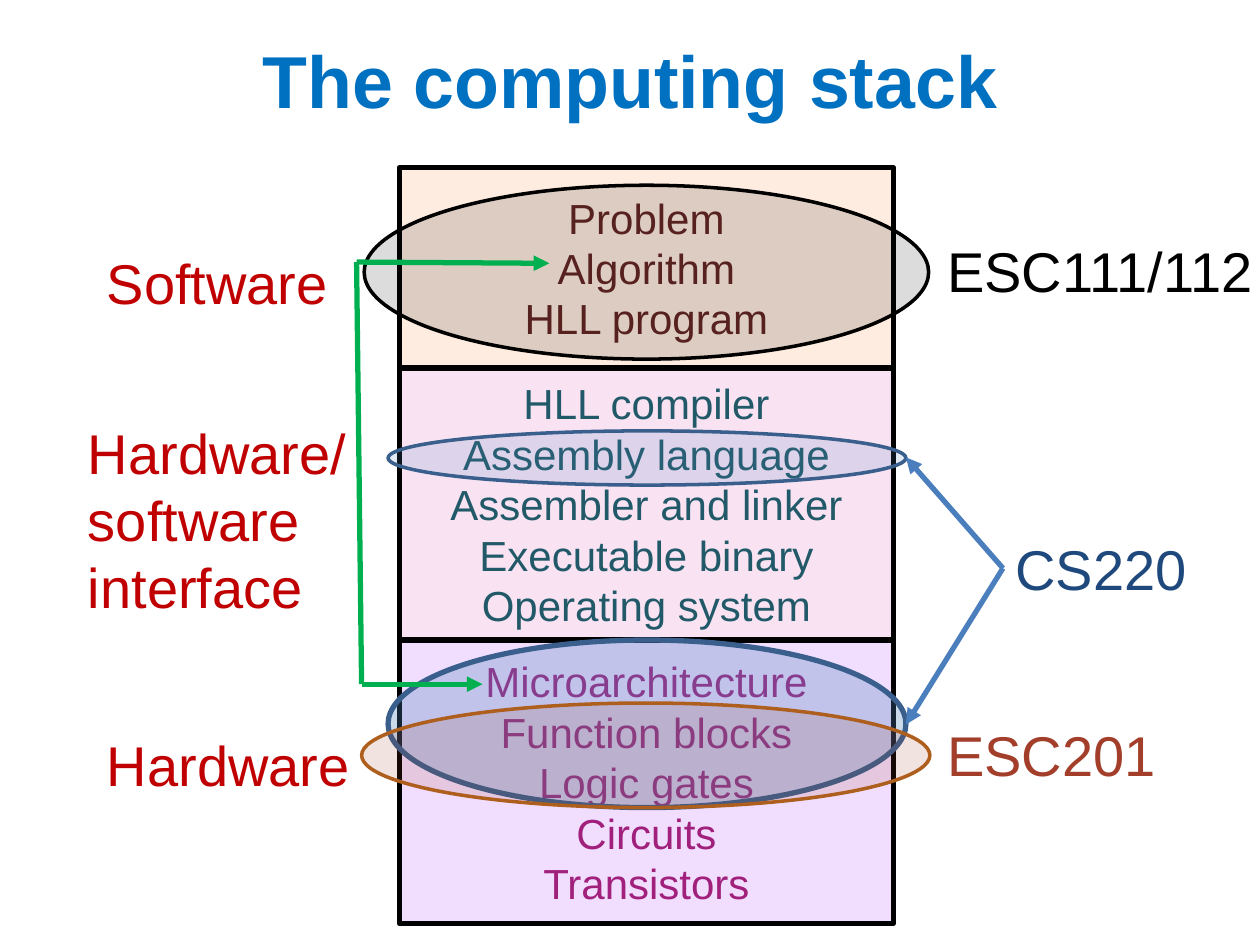
from lxml import etree
from pptx import Presentation
from pptx.dml.color import RGBColor
from pptx.enum.shapes import MSO_CONNECTOR, MSO_SHAPE
from pptx.enum.text import MSO_ANCHOR, MSO_AUTO_SIZE, PP_ALIGN
from pptx.oxml.ns import qn
from pptx.util import Emu, Pt

RECTANGLE, OVAL = MSO_SHAPE.RECTANGLE, MSO_SHAPE.OVAL
STRAIGHT = MSO_CONNECTOR.STRAIGHT
LEFT, CENTER = PP_ALIGN.LEFT, PP_ALIGN.CENTER
TOP, MIDDLE = MSO_ANCHOR.TOP, MSO_ANCHOR.MIDDLE
FIT_SHAPE = MSO_AUTO_SIZE.SHAPE_TO_FIT_TEXT

PX = 9144  # 100 px to the inch
TITLE_ONLY = 5

BLACK = RGBColor(0x00, 0x00, 0x00)
NEAR_BLACK = RGBColor(0x0D, 0x0D, 0x0D)
TITLE_BLUE = RGBColor(0x00, 0x70, 0xC0)
NAVY = RGBColor(0x1F, 0x49, 0x7D)
BLUE = RGBColor(0x4F, 0x81, 0xBD)
DARK_BLUE = RGBColor(0x3A, 0x5F, 0x8C)
ARROW_BLUE = RGBColor(0x4B, 0x7E, 0xBC)
GREEN = RGBColor(0x00, 0xB0, 0x50)
RED = RGBColor(0xC0, 0x00, 0x00)
RUST = RGBColor(0xA2, 0x3E, 0x2A)
BROWN = RGBColor(0xAE, 0x5F, 0x1E)
ORANGE = RGBColor(0xFF, 0x66, 0x00)
MAROON = RGBColor(0x63, 0x25, 0x23)
MAGENTA = RGBColor(0xCC, 0x00, 0x99)
TEAL = RGBColor(0x21, 0x59, 0x68)
VIOLET = RGBColor(0x99, 0x00, 0xFF)
PLUM = RGBColor(0xA0, 0x20, 0x7B)


def px(*lengths):
    return [Emu(length * PX) for length in lengths]


class StackSlide:
    font = "Arial"
    title_size, label_size, layer_size = 42, 32, 24

    def __init__(self, deck):
        self.page = deck.slides.add_slide(deck.slide_layouts[TITLE_ONLY])

    def add_lines(self, frame, lines, size, color, align, bold=False):
        font_format = {"name": self.font, "size": Pt(size), "bold": bold}
        for number, line in enumerate(lines):
            para = frame.add_paragraph() if number else frame.paragraphs[0]
            para.alignment = align
            span = para.add_run()
            span.text = line
            for name, value in font_format.items():
                setattr(span.font, name, value)
            span.font.color.rgb = color

    def title(self, text, left, top, width, height):
        box = self.page.shapes.title
        box.left, box.top, box.width, box.height = px(left, top, width, height)
        box.text_frame.vertical_anchor = MIDDLE
        self.add_lines(box.text_frame, [text], self.title_size, TITLE_BLUE, CENTER, True)

    def label(self, lines, color, left, top, width, height):
        box = self.page.shapes.add_textbox(*px(left, top, width, height))
        frame = box.text_frame
        frame.word_wrap = False
        frame.auto_size = FIT_SHAPE
        frame.vertical_anchor = TOP
        self.add_lines(frame, lines, self.label_size, color, LEFT)

    def tinted(self, kind, place, fill, opacity, line, weight):
        """Add an outlined shape whose fill has the given opacity in percent."""
        shape = self.page.shapes.add_shape(kind, *px(*place))
        shape.shadow.inherit = False
        shape.fill.solid()
        shape.fill.fore_color.rgb = fill
        color = shape._element.spPr.find(qn("a:solidFill"))[0]
        etree.SubElement(color, qn("a:alpha"), val=str(opacity * 1000))
        shape.line.color.rgb = line
        shape.line.width = Pt(weight)
        return shape

    def layer(self, lines, color, fill, opacity, top, height):
        place = (317, top, 392, height)
        frame = self.tinted(RECTANGLE, place, fill, opacity, BLACK, 3).text_frame
        frame.word_wrap = False
        frame.vertical_anchor = MIDDLE
        self.add_lines(frame, lines, self.layer_size, color, CENTER)

    def oval(self, place, fill, opacity, line, weight):
        self.tinted(OVAL, place, fill, opacity, line, weight)

    def line(self, start, end, color, arrow=True):
        connector = self.page.shapes.add_connector(STRAIGHT, *px(*start, *end))
        connector.line.color.rgb = color
        connector.line.width = Pt(3)
        properties = connector._element.spPr
        if arrow:
            outline = properties.find(qn("a:ln"))
            etree.SubElement(outline, qn("a:tailEnd"), type="triangle")
        etree.SubElement(properties, qn("a:effectLst"))


def main():
    deck = Presentation()
    deck.slide_width, deck.slide_height = px(1000, 750)
    slide = StackSlide(deck)

    slide.title("The computing stack", 0, 0, 1000, 125)

    slide.layer(["Microarchitecture", "Function blocks", "Logic gates",
                 "Circuits", "Transistors"], PLUM, VIOLET, 13, 508, 225)
    slide.layer(["HLL compiler", "Assembly language", "Assembler and linker",
                 "Executable binary", "Operating system"],
                TEAL, MAGENTA, 11, 292, 216)
    slide.layer(["Problem", "Algorithm", "HLL program"],
                MAROON, ORANGE, 12, 133, 159)

    slide.label(["Hardware"], RED, 75, 575, 214, 64)
    slide.label(["Hardware/", "software", "interface"], RED, 60, 327, 227, 172)
    slide.label(["Software"], RED, 75, 192, 197, 64)

    # Courses and the layers they cover
    slide.oval((308, 508, 411, 133), BLUE, 29, DARK_BLUE, 3)
    slide.label(["CS220"], NAVY, 796, 419, 157, 64)
    slide.oval((308, 342, 411, 43), BLUE, 16, DARK_BLUE, 2)
    for target in ((719, 363), (719, 575)):
        slide.line((796, 451), target, ARROW_BLUE)
    slide.oval((287, 558, 451, 83), RUST, 14, BROWN, 2)
    slide.label(["ESC201"], RUST, 742, 567, 187, 64)
    slide.oval((289, 147, 448, 138), NEAR_BLACK, 14, BLACK, 2)
    slide.label(["ESC111/112"], BLACK, 742, 183, 264, 64)

    # Link between algorithm and microarchitecture
    upper, lower = (283, 208), (287, 543)
    slide.line(upper, lower, GREEN, arrow=False)
    slide.line(upper, (436, 209), GREEN)
    slide.line(lower, (383, 543), GREEN)

    deck.save("out.pptx")


if __name__ == "__main__":
    main()
